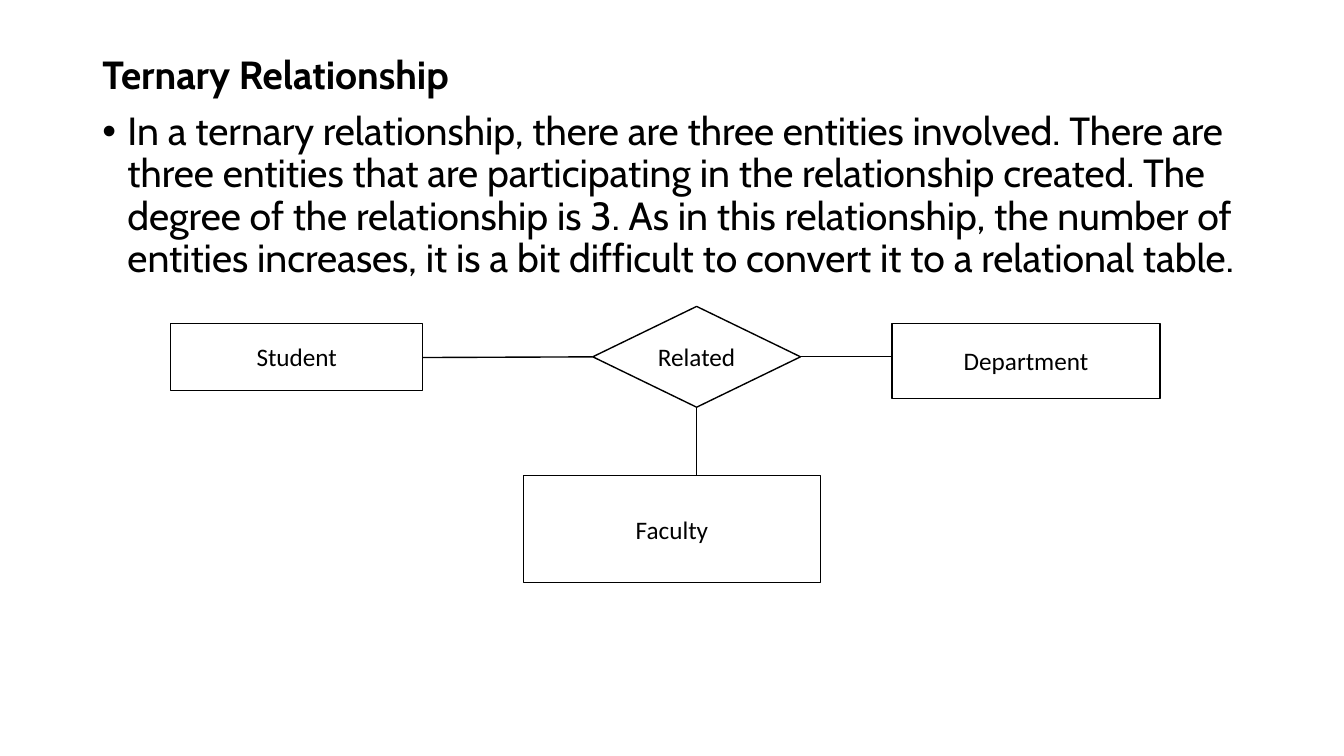
from lxml.etree import SubElement as Sub
from pptx import Presentation
from pptx.dml.color import RGBColor
from pptx.enum.shapes import MSO_CONNECTOR as Link, MSO_SHAPE as Kind
from pptx.enum.text import MSO_ANCHOR as Anchor, PP_ALIGN as Align
from pptx.oxml.ns import qn
from pptx.util import Pt

BLACK = RGBColor(0, 0, 0)
WHITE = RGBColor(255, 255, 255)

HEAD = "Ternary Relationship"
BODY = (
    "In a ternary relationship, there are three entities involved. "
    "There are three entities that are participating in the relationship created. "
    "The degree of the relationship is 3. As in this relationship, "
    "the number of entities increases, it is a bit difficult to convert it "
    "to a relational table."
)


class Page:
    text_font, text_size = "Cabin", 28
    node_font, node_size = "Calibri", 18

    def __init__(self, deck):
        self.slide = deck.slides.add_slide(deck.slide_layouts[6])
        self.shapes = self.slide.shapes

    def style(self, para, name, size, bold=False):
        font = para.font
        font.name, font.size, font.bold = name, Pt(size), bold
        font.color.rgb = BLACK

    def text(self, box, head, body):
        """Add a bold heading with one bulleted paragraph below it."""
        frame = self.shapes.add_textbox(*map(Pt, box)).text_frame
        frame.word_wrap = True
        for para, words in ((frame.paragraphs[0], head), (frame.add_paragraph(), body)):
            para.text = words
            para.line_spacing = 0.9
            para.space_before = Pt(10)
            self.style(para, self.text_font, self.text_size, words == head)
        self.bullet(para)

    def bullet(self, para, indent=18):
        props = para._p.get_or_add_pPr()
        props.set("marL", str(Pt(indent)))
        props.set("indent", str(-Pt(indent)))
        Sub(props, qn("a:buFont")).set("typeface", "Arial")
        Sub(props, qn("a:buChar")).set("char", "•")
        # The schema wants default run properties after the bullet.
        for run in props.findall(qn("a:defRPr")):
            props.append(run)

    def node(self, kind, box, label):
        shape = self.shapes.add_shape(kind, *map(Pt, box))
        shape.shadow.inherit = False
        shape.fill.solid()
        shape.fill.fore_color.rgb = WHITE
        shape.line.color.rgb = BLACK
        shape.line.width = Pt(1)
        frame = shape.text_frame
        frame.vertical_anchor = Anchor.MIDDLE
        para = frame.paragraphs[0]
        para.text = label
        para.alignment = Align.CENTER
        self.style(para, self.node_font, self.node_size)
        return shape

    def link(self, start, end, width=0.5):
        line = self.shapes.add_connector(Link.STRAIGHT, *map(Pt, start + end))
        line.line.color.rgb = BLACK
        line.line.width = Pt(width)
        Sub(line._element.spPr, qn("a:effectLst"))


def main():
    deck = Presentation()
    deck.slide_width, deck.slide_height = Pt(960), Pt(540)
    page = Page(deck)
    page.text((66, 36, 828, 450.7), HEAD, BODY)

    for label, box in (
        ("Student", (122, 231, 180, 47.8)),
        ("Department", (637.2, 231, 191.5, 53.5)),
        ("Faculty", (373.8, 339.8, 212.4, 76.5)),
    ):
        page.node(Kind.RECTANGLE, box, label)

    left, top, wide, high = hub = (423.4, 218.9, 148.4, 72)
    page.node(Kind.DIAMOND, hub, "Related")
    mid, axis = left + wide / 2, top + high / 2

    page.link((302, axis + 0.5), (left, axis), 1)
    page.link((left + wide, axis), (637.2, axis))
    page.link((mid, 339.8), (mid, top + high))

    deck.save("out.pptx")


if __name__ == "__main__":
    main()
